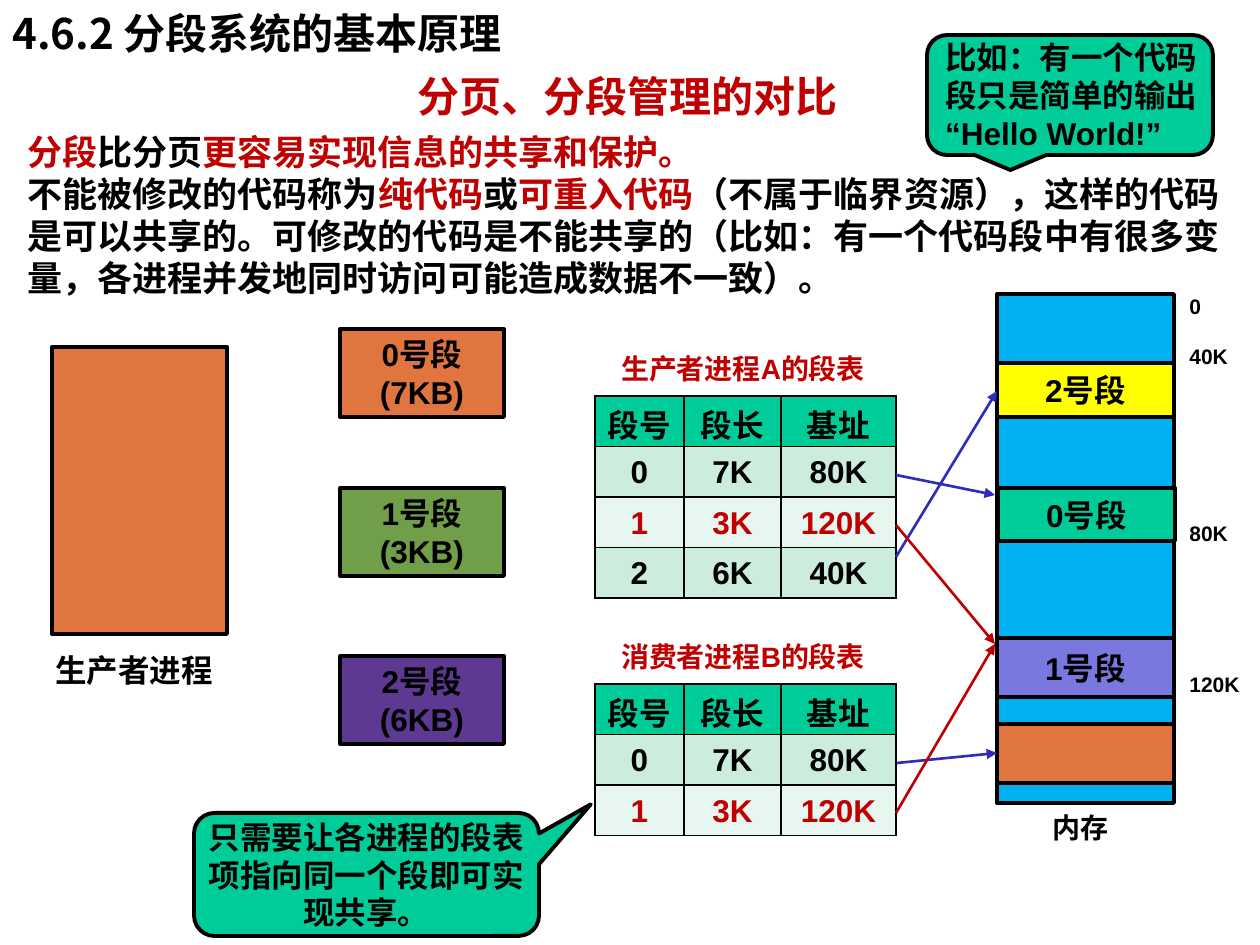
import lxml.etree
import pptx
import pptx.dml.color
import pptx.enum.shapes
import pptx.enum.text
import pptx.oxml
import pptx.oxml.ns
import pptx.util

RGB = pptx.dml.color.RGBColor
SHAPE = pptx.enum.shapes.MSO_SHAPE
ALIGN = pptx.enum.text.PP_ALIGN
MIDDLE = pptx.enum.text.MSO_ANCHOR.MIDDLE
qn = pptx.oxml.ns.qn

BLACK = RGB(0x00, 0x00, 0x00)
RED = RGB(0xC0, 0x00, 0x00)
BLUE = RGB(0x2D, 0x2D, 0xB9)
SKY = RGB(0x00, 0xB0, 0xF0)
GREEN = RGB(0x00, 0xCC, 0x99)
YELLOW = RGB(0xFF, 0xFF, 0x00)
ORANGE = RGB(0xE0, 0x75, 0x40)
OLIVE = RGB(0x71, 0x9E, 0x48)
PURPLE = RGB(0x5D, 0x39, 0x91)
LILAC = RGB(0x78, 0x78, 0xDE)
BAND_DARK = RGB(0xCC, 0xEC, 0xDE)
BAND_LIGHT = RGB(0xE7, 0xF6, 0xEF)

PX_PER_INCH = 126


def px(length):
    return pptx.util.Emu(round(length * 914400 / PX_PER_INCH))


class Painter:
    font = "Arial"
    cjk_font = "Noto Sans CJK SC"
    line_factor = 1.2
    outline = 2.25

    def __init__(self, page):
        self.page = page

    def style(self, para, size, color, align, font=None):
        para.alignment = align
        para.line_spacing = pptx.util.Pt(size * self.line_factor)
        for span in para.runs:
            span.font.size = pptx.util.Pt(size)
            span.font.bold = True
            span.font.name = font or self.font
            span.font.color.rgb = color
            east_asian = lxml.etree.SubElement(span.font._element, qn("a:ea"))
            east_asian.set("typeface", self.cjk_font)

    def set_text(self, frame, text, size, color=BLACK, align=ALIGN.LEFT, font=None):
        frame.text = text
        for para in frame.paragraphs:
            self.style(para, size, color, align, font)

    def text(self, left, top, width, height, text, size, color=BLACK,
             align=ALIGN.LEFT, font=None):
        box = self.page.shapes.add_textbox(px(left), px(top), px(width), px(height))
        box.text_frame.word_wrap = True
        self.set_text(box.text_frame, text, size, color, align, font)
        return box

    def rich_text(self, left, top, width, height, paragraphs, size):
        plain = "\n".join("\v".join(words for words, _ in spans) for spans in paragraphs)
        box = self.text(left, top, width, height, plain, size)
        for para, spans in zip(box.text_frame.paragraphs, paragraphs):
            para.clear()
            for words, _ in spans:
                para.add_run().text = words
            self.style(para, size, BLACK, ALIGN.LEFT)
            for span, (_, color) in zip(para.runs, spans):
                span.font.color.rgb = color

    def shape(self, left, top, width, height, fill, text="", kind=SHAPE.RECTANGLE,
              align=ALIGN.CENTER):
        box = self.page.shapes.add_shape(kind, px(left), px(top), px(width), px(height))
        box.shadow.inherit = False
        box.fill.solid()
        box.fill.fore_color.rgb = fill
        box.line.color.rgb = BLACK
        box.line.width = pptx.util.Pt(self.outline)
        if text:
            box.text_frame.word_wrap = False
            box.text_frame.vertical_anchor = MIDDLE
            self.set_text(box.text_frame, text, 18, BLACK, align)
        return box

    def arrow(self, start, end, color):
        line = self.page.shapes.add_connector(
            pptx.enum.shapes.MSO_CONNECTOR.STRAIGHT, *map(px, start + end))
        line.line.color.rgb = color
        line.line.width = pptx.util.Pt(1.5)
        lxml.etree.SubElement(line.line._get_or_add_ln(), qn("a:tailEnd"), type="triangle")
        lxml.etree.SubElement(line._element.spPr, qn("a:effectLst"))

    def cell_border(self, cell):
        props = cell._tc.get_or_add_tcPr()
        for index, side in enumerate(("lnL", "lnR", "lnT", "lnB")):
            props.insert(index, pptx.oxml.parse_xml(
                f'<a:{side} {pptx.oxml.ns.nsdecls("a")} w="12700"><a:solidFill>'
                f'<a:srgbClr val="{BLACK}"/></a:solidFill></a:{side}>'))

    def table(self, left, top, columns, row_height, rows, red_row):
        grid = self.page.shapes.add_table(
            len(rows), len(columns), px(left), px(top),
            px(sum(columns)), px(row_height * len(rows))).table
        for column, width in zip(grid.columns, columns):
            column.width = px(width)
        for r, values in enumerate(rows):
            grid.rows[r].height = px(row_height)
            fill = GREEN if r == 0 else BAND_DARK if r % 2 else BAND_LIGHT
            for c, value in enumerate(values):
                cell = grid.cell(r, c)
                cell.fill.solid()
                cell.fill.fore_color.rgb = fill
                cell.vertical_anchor = MIDDLE
                if r == 0:
                    cell.margin_top, cell.margin_bottom = px(12), 0
                self.set_text(cell.text_frame, value, 18,
                              RED if r == red_row else BLACK, ALIGN.CENTER)
                self.cell_border(cell)


def main():
    deck = pptx.Presentation()
    deck.slide_width, deck.slide_height = px(1260), px(945)
    page = deck.slides.add_slide(deck.slide_layouts[6])
    painter = Painter(page)

    # Headings
    title = painter.text(0, 0, 1071, 66, "4.6.2 分段系统的基本原理", 24,
                         font=Painter.cjk_font)
    title.text_frame.vertical_anchor = MIDDLE
    painter.text(405, 64, 450, 59, "分页、分段管理的对比", 24, RED)

    # Explanation with red key terms
    painter.rich_text(15, 124, 1231, 183, [
        [("分段", RED), ("比分页", BLACK), ("更容易实现信息的共享和保护。", RED)],
        [("不能被修改的代码称为", BLACK), ("纯代码", RED), ("或", BLACK),
         ("可重入代码", RED),
         ("（不属于临界资源），这样的代码是可以共享的。可修改的代码是不能共享的"
          "（比如：有一个代码段中有很多变量，各进程并发地同时访问可能造成数据不一致）。", BLACK)],
    ], 20)

    # Producer process and its segments
    painter.shape(52, 347, 175, 287, ORANGE)
    painter.text(43, 645, 192, 50, "生产者进程", 18)
    for top, fill, label in ((329, ORANGE, "0号段\n(7KB)"),
                             (488, OLIVE, "1号段\n(3KB)"),
                             (656, PURPLE, "2号段\n(6KB)")):
        painter.shape(340, top, 164, 88, fill, label)

    # Memory with its blocks and addresses
    painter.shape(997, 294, 177, 509, SKY)
    for left, top, height, fill, label in ((998, 488, 53, GREEN, "0号段"),
                                           (997, 363, 54, YELLOW, "2号段"),
                                           (997, 638, 59, LILAC, "1号段"),
                                           (997, 724, 59, ORANGE, "")):
        painter.shape(left, top, 177, height, fill, label)
    painter.text(1040, 804, 93, 47, "内存", 16)
    addresses = painter.text(1177, 287, 76, 422, "0\n40K\n80K\n120K", 12).text_frame
    addresses.margin_right = 0
    for para, skipped_lines in zip(addresses.paragraphs, (0, 1, 6, 5)):
        para.space_before = pptx.util.Pt(14.4 * skipped_lines)

    # Segment tables
    header = ("段号", "段长", "基址")
    shared_rows = [header, ("0", "7K", "80K"), ("1", "3K", "120K")]
    for top, process, rows in (
            (396, "生产者进程A", shared_rows + [("2", "6K", "40K")]),
            (684, "消费者进程B", shared_rows)):
        painter.text(595, top - 51, 296, 47, process + "的段表", 16, RED, ALIGN.CENTER)
        painter.table(595, top, (89, 97, 115), 50.4, rows, red_row=2)

    # Arrows from base addresses to memory
    for start, end, color in (((896, 557), (997, 391), BLUE),
                              ((896, 475), (995, 495), BLUE),
                              ((896, 525), (995, 644), RED),
                              ((897, 763), (997, 753), BLUE),
                              ((896, 813), (995, 644), RED)):
        painter.arrow(start, end, color)

    # Callouts
    sharing = painter.shape(194, 813, 345, 123, GREEN,
                            "只需要让各进程的段表\n项指向同一个段即可实\n现共享。",
                            SHAPE.ROUNDED_RECTANGULAR_CALLOUT)
    sharing.adjustments[0], sharing.adjustments[1] = 0.65, -0.57
    painter.shape(927, 35, 286, 120, GREEN,
                  "比如：有一个代码\n段只是简单的输出\n“Hello World!”",
                  SHAPE.ROUNDED_RECTANGULAR_CALLOUT, ALIGN.LEFT)

    deck.save("out.pptx")


if __name__ == "__main__":
    main()
